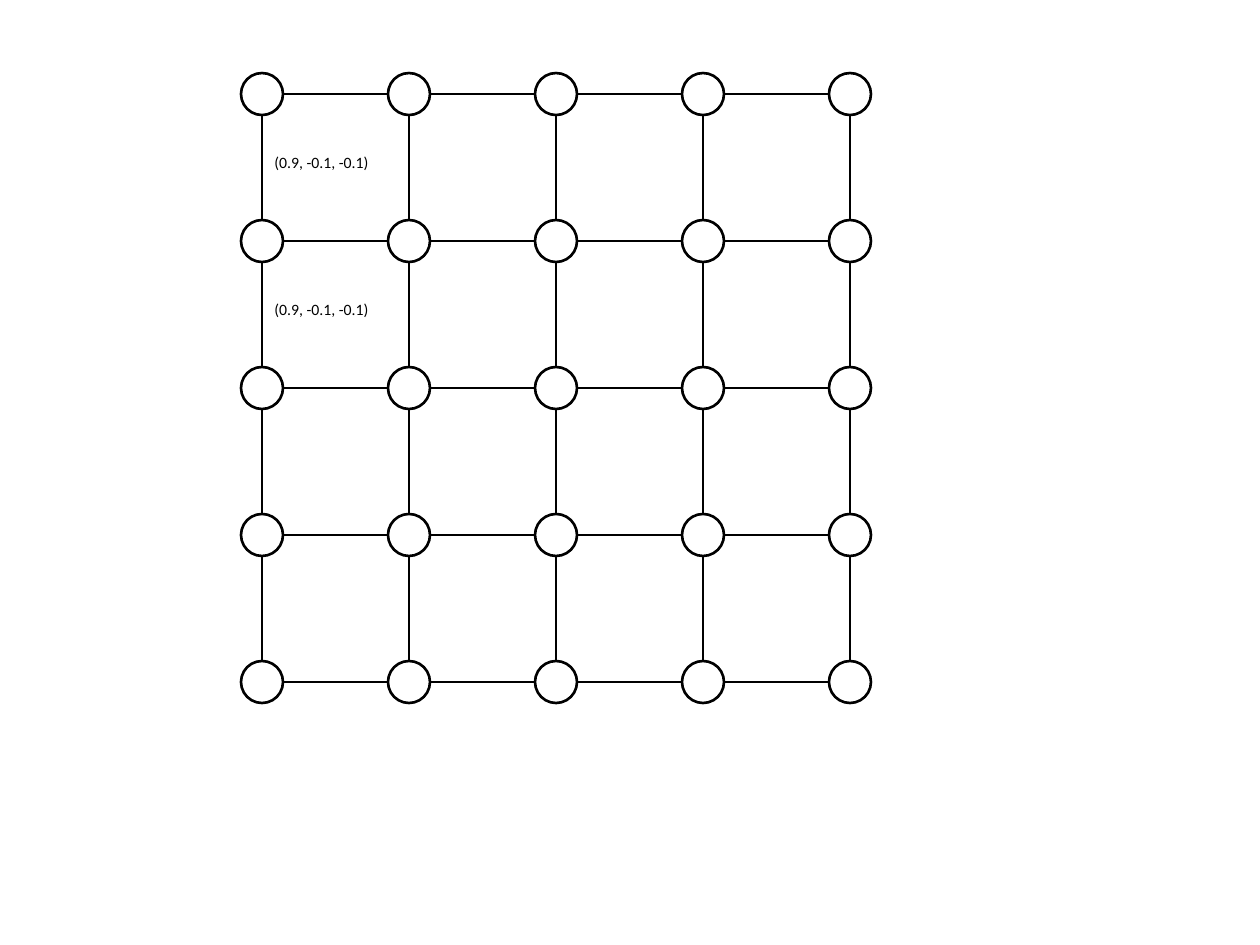
from dataclasses import dataclass
from itertools import product

from lxml.etree import SubElement
from pptx import Presentation
from pptx.dml.color import RGBColor
from pptx.enum.shapes import MSO_CONNECTOR as Connector, MSO_SHAPE as Shape
from pptx.enum.text import MSO_AUTO_SIZE as AutoSize
from pptx.oxml.ns import qn
from pptx.util import Emu, Pt

SCALE = 914400 // 126


@dataclass(frozen=True)
class Theme:
    """Colours, font and sizes of the slide."""
    ink: RGBColor = RGBColor(0, 0, 0)
    paper: RGBColor = RGBColor(255, 255, 255)
    font: str = "Calibri"
    label_size: Pt = Pt(9)
    line_width: Pt = Pt(1.5)


THEME = Theme()


def px(*lengths):
    """Turn pixel lengths into EMU."""
    return [Emu(length * SCALE) for length in lengths]


def style_line(line):
    """Give a line the theme's colour and width."""
    line.color.rgb = THEME.ink
    line.width = THEME.line_width


def add_node(slide, left, top, size):
    """Draw one white circle."""
    node = slide.shapes.add_shape(Shape.OVAL, *px(left, top, size, size))
    node.shadow.inherit = False
    node.fill.solid()
    node.fill.fore_color.rgb = THEME.paper
    style_line(node.line)


def add_edge(slide, x1, y1, x2, y2):
    """Draw one straight edge between two points."""
    edge = slide.shapes.add_connector(Connector.STRAIGHT, *px(x1, y1, x2, y2))
    style_line(edge.line)
    SubElement(edge._element.spPr, qn("a:effectLst"))


def add_label(slide, left, top, width, height, text):
    """Write one unwrapped label."""
    frame = slide.shapes.add_textbox(*px(left, top, width, height)).text_frame
    frame.word_wrap = False
    frame.auto_size = AutoSize.SHAPE_TO_FIT_TEXT
    frame.text = text
    font = frame.paragraphs[0].runs[0].font
    font.name, font.size, font.color.rgb = THEME.font, THEME.label_size, THEME.ink


def add_lattice(slide, left, top, side, count, node_size, labels):
    """Draw a square lattice of nodes and edges, with labels down its first column."""
    pitch = (side - node_size) // (count - 1)
    radius = node_size // 2
    for row, column in product(range(count), repeat=2):
        x, y = left + column * pitch, top + row * pitch
        add_node(slide, x, y, node_size)
        if column < count - 1:
            add_edge(slide, x + node_size, y + radius, x + pitch, y + radius)
        if row < count - 1:
            add_edge(slide, x + radius, y + node_size, x + radius, y + pitch)
    for row, text in enumerate(labels):
        add_label(slide, left + radius, top + row * pitch + 74, 120, 31, text)


def main():
    """Build and save the slide."""
    presentation = Presentation()
    presentation.slide_width, presentation.slide_height = px(1260, 945)
    slide = presentation.slides.add_slide(presentation.slide_layouts[6])
    add_lattice(slide, left=241, top=73, side=630, count=5, node_size=42,
                labels=["(0.9, -0.1, -0.1)"] * 2)
    presentation.save("out.pptx")


main()
